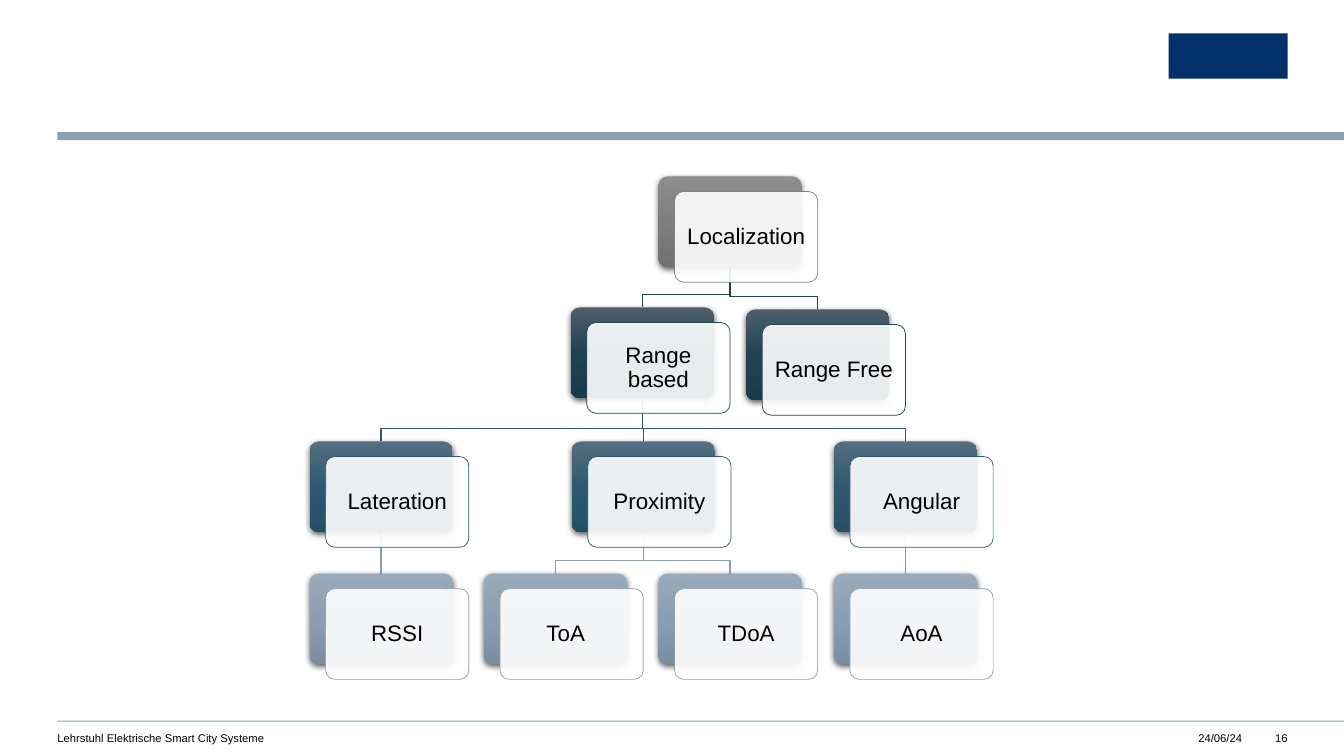
from copy import deepcopy

from lxml.etree import SubElement
from pptx import Presentation
from pptx.dml.color import RGBColor
from pptx.enum.shapes import MSO_CONNECTOR, MSO_SHAPE as SHAPE
from pptx.enum.text import MSO_ANCHOR as ANCHOR, PP_ALIGN as ALIGN
from pptx.oxml.ns import qn
from pptx.util import Inches, Pt

CARD_W, CARD_H = 1.42, 0.9
PANEL_DX, PANEL_DY = 0.16, 0.15
BEND_RISE = 0.13
COL = 0.87  # half the distance between two leaf cards, in inches
LEFT = 3.07

# level: line colour, gradient from top to bottom
LEVELS = [
    ("7F7F7F", ("8D8D8D", "7F7F7F", "717171")),
    ("204251", ("4F5F6A", "1E4353", "183C4C")),
    ("2F586E", ("556E80", "2C5971", "245067")),
    ("8C9FB1", ("99AABA", "8A9FB3", "798DA1")),
]
# label: level, left, top, parent
CARDS = {
    "Localization": (0, LEFT + 4 * COL - 0.02, 1.75, None),
    "Range based": (1, 5.66, 3.05, "Localization"),
    "Range Free": (1, 7.4, 3.07, "Localization"),
    "Lateration": (2, LEFT, 4.38, "Range based"),
    "Proximity": (2, 5.67, 4.38, "Range based"),
    "Angular": (2, 8.27, 4.38, "Range based"),
    "RSSI": (3, LEFT, 5.69, "Lateration"),
    "ToA\t": (3, 4.8, 5.69, "Proximity"),
    "TDoA": (3, 6.53, 5.69, "Proximity"),
    "AoA": (3, 8.27, 5.69, "Angular"),
}
# text, left, width, alignment
FOOTER = [
    ("Lehrstuhl Elektrische Smart City Systeme", 0.57, 5.98, ALIGN.LEFT),
    ("24/06/24", 11.39, 0.93, ALIGN.RIGHT),
    ("16", 12.56, 0.21, ALIGN.RIGHT),
]


def rgb(hex_code):
    return RGBColor.from_string(hex_code)


def write(frame, text, size, align, inset):
    """Fill a text frame with one line of Arial, centred vertically."""
    margins = {f"margin_{side}": Inches(inset) for side in ("left", "right", "top", "bottom")}
    for name, value in {**margins, "word_wrap": True, "vertical_anchor": ANCHOR.MIDDLE}.items():
        setattr(frame, name, value)
    paragraph = frame.paragraphs[0]
    paragraph.text = text
    paragraph.alignment = align
    for name, value in {"name": "Arial", "size": Pt(size)}.items():
        setattr(paragraph.font, name, value)
    paragraph.font.color.rgb = rgb("000000")
    return paragraph


prs = Presentation()
prs.slide_width, prs.slide_height = Inches(13.33), Inches(7.5)
slide = prs.slides.add_slide(prs.slide_layouts[6])
shapes = slide.shapes

# Header and footer rules, and a plain block in the logo's place
for left, top, width, height, colour in [
    (0.57, 1.31, 12.77, 0.08, "8C9FB1"),
    (0.57, 7.15, 12.77, 0.01, "8C9FB1"),
    (11.59, 0.33, 1.18, 0.45, "04316A"),
]:
    block = shapes.add_shape(SHAPE.RECTANGLE, Inches(left), Inches(top), Inches(width), Inches(height))
    block.shadow.inherit = False
    block.fill.solid()
    block.fill.fore_color.rgb = rgb(colour)
    block.line.fill.background()

for text, left, width, align in FOOTER:
    footer = shapes.add_textbox(Inches(left), Inches(7.26), Inches(width), Inches(0.13))
    write(footer.text_frame, text, 8, align, 0)

# Links from each card to its parent, behind the cards
for level, left, top, parent in CARDS.values():
    if parent is None:
        continue
    _, parent_left, parent_top, _ = CARDS[parent]
    start_x, end_x = (Inches(x + CARD_W / 2) for x in (parent_left, left))
    start_y, bend_y, end_y = (Inches(y) for y in (parent_top + CARD_H, top - BEND_RISE, top))
    if start_x == end_x:
        link = shapes.add_connector(MSO_CONNECTOR.STRAIGHT, start_x, start_y, end_x, end_y)
        SubElement(link._element.spPr, qn("a:effectLst"))
    else:
        outline = shapes.build_freeform(start_x, start_y)
        outline.add_line_segments([(start_x, bend_y), (end_x, bend_y), (end_x, end_y)], close=False)
        link = outline.convert_to_shape()
        link.fill.background()
        link.shadow.inherit = False
    link.line.color.rgb = rgb(LEVELS[level][0])
    link.line.width = Pt(1)

# Each card is a shaded back with a translucent label panel in front
for label, (level, left, top, _) in CARDS.items():
    line_colour, gradient = LEVELS[level]
    back, panel = (
        shapes.add_shape(SHAPE.ROUNDED_RECTANGLE, Inches(left + dx), Inches(top + dy),
                         Inches(CARD_W), Inches(CARD_H))
        for dx, dy in ((0, 0), (PANEL_DX, PANEL_DY))
    )
    for part in (back, panel):
        part.adjustments[0] = 0.1
        part.shadow.inherit = False

    back.line.fill.background()
    back.fill.gradient()
    back.fill.gradient_angle = 270
    stop_list = back._element.spPr.find(".//" + qn("a:gsLst"))
    stop_list.insert(1, deepcopy(stop_list[0]))
    for stop, position, colour in zip(back.fill.gradient_stops, (0, 0.5, 1), gradient):
        stop.position = position
        stop.color.rgb = rgb(colour)
    effects = back._element.spPr.find(qn("a:effectLst"))
    shadow = SubElement(effects, qn("a:outerShdw"), blurRad=str(Pt(4.5)), dist=str(Pt(1.5)),
                        dir="5400000", algn="ctr", rotWithShape="0")
    shade = SubElement(shadow, qn("a:srgbClr"), val="000000")
    SubElement(shade, qn("a:alpha"), val="63000")

    panel.fill.solid()
    panel.fill.fore_color.rgb = rgb("FFFFFF")
    white = panel._element.spPr.find(qn("a:solidFill")).find(qn("a:srgbClr"))
    SubElement(white, qn("a:alpha"), val="90000")
    panel.line.color.rgb = rgb(line_colour)
    panel.line.width = Pt(0.5)
    write(panel.text_frame, label, 16, ALIGN.CENTER, 0.08).line_spacing = 0.9

prs.save("out.pptx")
